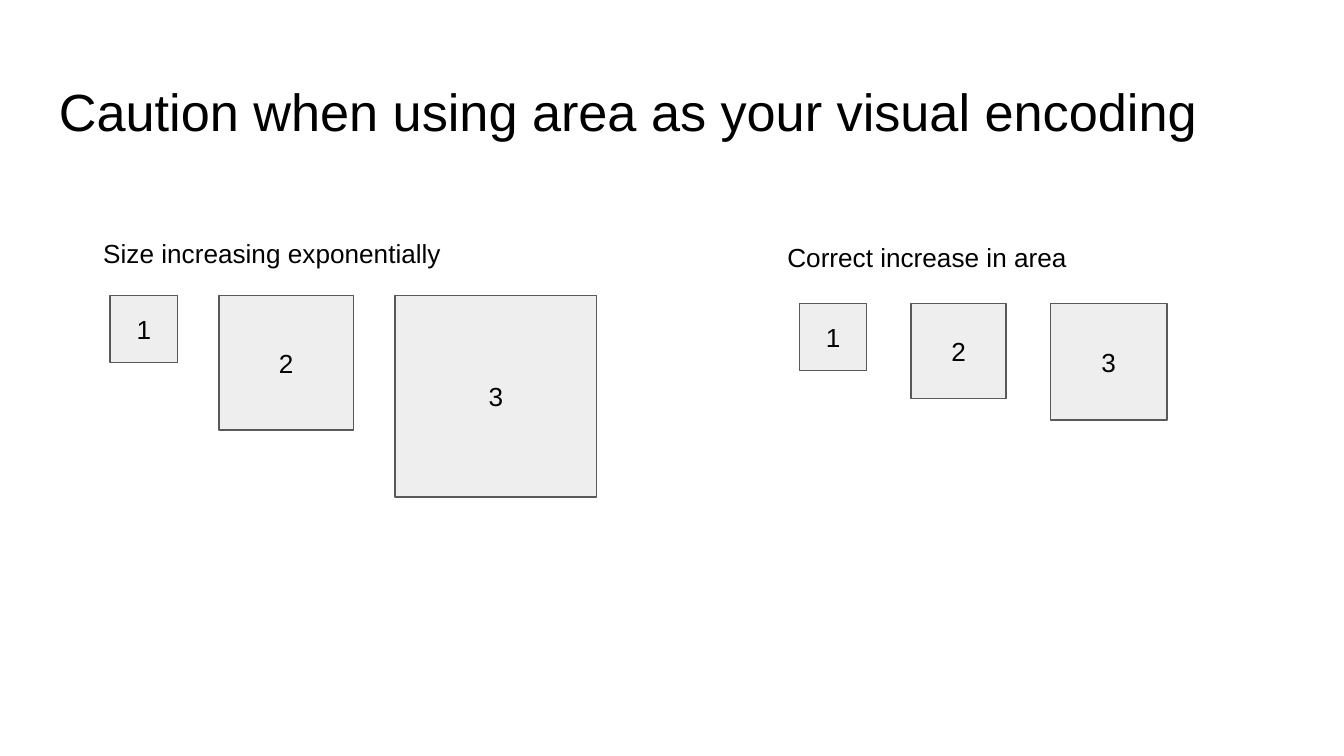
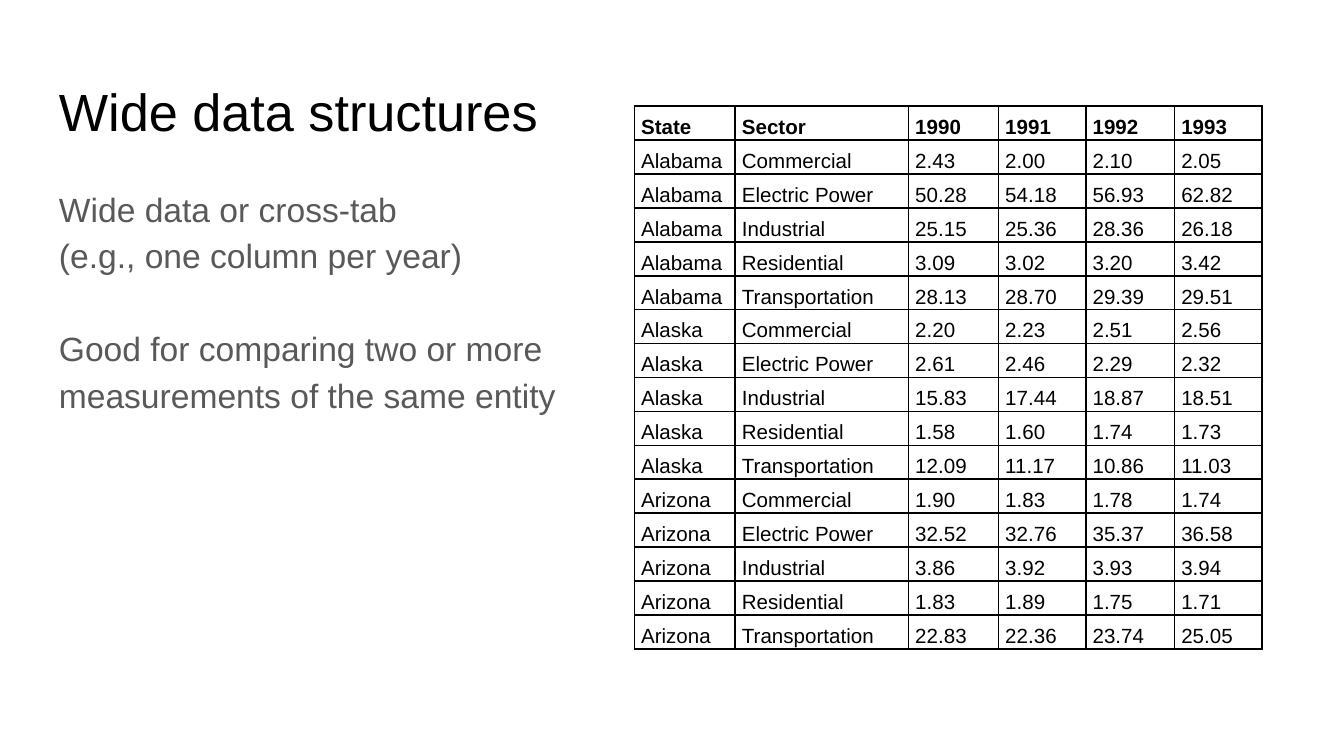
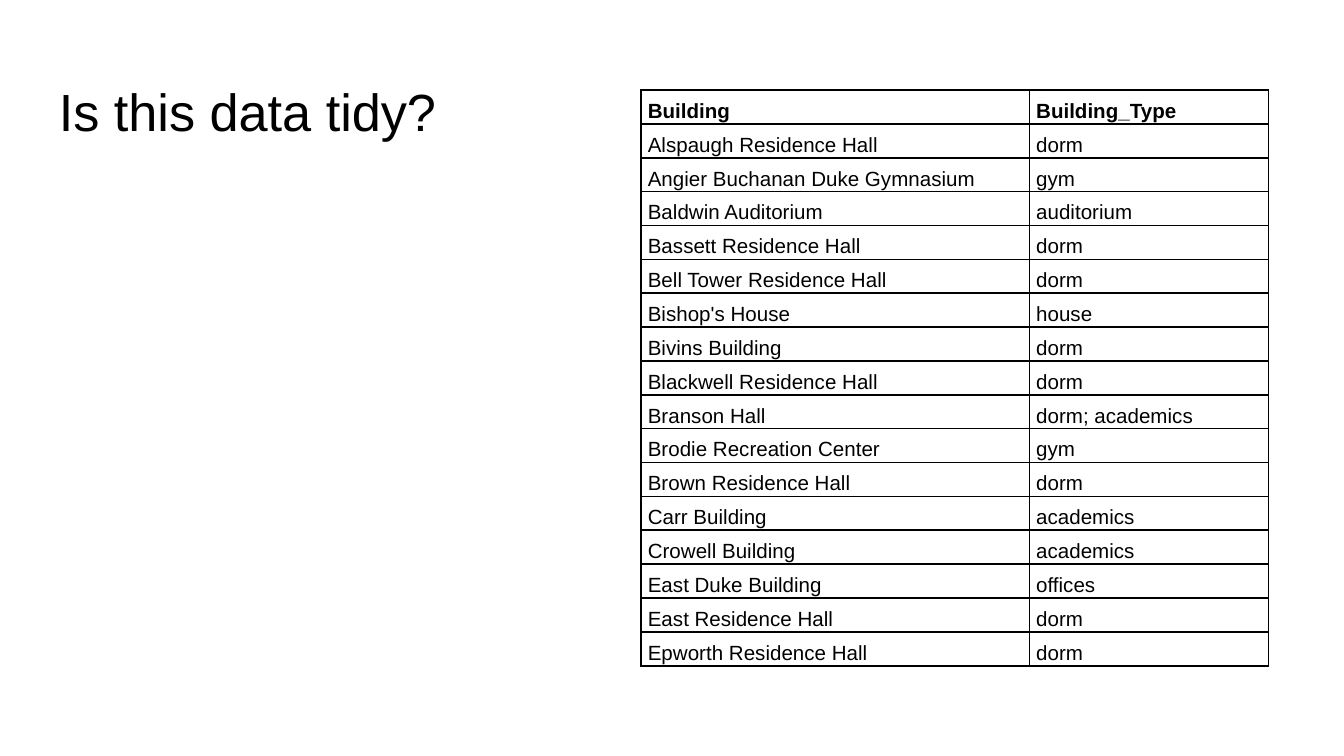
import dataclasses
import itertools
import math
import typing

import lxml.etree
import pptx
import pptx.dml.color
import pptx.enum.shapes
import pptx.enum.text
import pptx.oxml.ns
import pptx.slide
import pptx.text.text
import pptx.util

Inches = pptx.util.Inches
Anchor = pptx.enum.text.MSO_ANCHOR

FONT = "Arial"
BLACK = "000000"
GRAY = "595959"
PALE = "EEEEEE"

STATES = ["Alabama", "Alaska", "Arizona"]
SECTORS = ["Commercial", "Electric Power", "Industrial", "Residential", "Transportation"]
YEARS = ["1990", "1991", "1992", "1993"]
ENERGY = [
    "2.43 2.00 2.10 2.05",
    "50.28 54.18 56.93 62.82",
    "25.15 25.36 28.36 26.18",
    "3.09 3.02 3.20 3.42",
    "28.13 28.70 29.39 29.51",
    "2.20 2.23 2.51 2.56",
    "2.61 2.46 2.29 2.32",
    "15.83 17.44 18.87 18.51",
    "1.58 1.60 1.74 1.73",
    "12.09 11.17 10.86 11.03",
    "1.90 1.83 1.78 1.74",
    "32.52 32.76 35.37 36.58",
    "3.86 3.92 3.93 3.94",
    "1.83 1.89 1.75 1.71",
    "22.83 22.36 23.74 25.05",
]
BUILDINGS = [
    ["Alspaugh Residence Hall", "dorm"],
    ["Angier Buchanan Duke Gymnasium", "gym"],
    ["Baldwin Auditorium", "auditorium"],
    ["Bassett Residence Hall", "dorm"],
    ["Bell Tower Residence Hall", "dorm"],
    ["Bishop's House", "house"],
    ["Bivins Building", "dorm"],
    ["Blackwell Residence Hall", "dorm"],
    ["Branson Hall", "dorm; academics"],
    ["Brodie Recreation Center", "gym"],
    ["Brown Residence Hall", "dorm"],
    ["Carr Building", "academics"],
    ["Crowell Building", "academics"],
    ["East Duke Building", "offices"],
    ["East Residence Hall", "dorm"],
    ["Epworth Residence Hall", "dorm"],
]


@dataclasses.dataclass
class Area:
    left: float
    top: float
    width: float
    height: float

    def lengths(self) -> list[int]:
        return [Inches(value) for value in dataclasses.astuple(self)]


@dataclasses.dataclass
class SquareRow:
    caption: str
    caption_area: Area
    left: float
    top: float
    gap: float
    sides: list[float]


@dataclasses.dataclass
class DataTable:
    left: float
    top: float
    height: float
    widths: list[float]
    rows: list[list[str]]


TITLE_AREA = Area(0.34, 0.49, 9.32, 0.63)
BODY_AREA = Area(0.34, 1.26, 4.55, 3.74)
SQUARE_ROWS = [
    SquareRow("Size increasing exponentially", Area(0.67, 1.67, 3.56, 0.44),
              0.82, 2.2, 0.31, [0.5 * number for number in (1, 2, 3)]),
    SquareRow("Correct increase in area", Area(5.76, 1.7, 3.56, 0.44),
              5.95, 2.26, 0.33, [0.5 * math.sqrt(number) for number in (1, 2, 3)]),
]
ENERGY_TABLE = DataTable(
    4.72, 0.79, 4.04, [0.75, 1.29, 0.67, 0.65, 0.66, 0.65],
    [["State", "Sector", *YEARS]]
    + [[*names, *values.split()]
       for names, values in zip(itertools.product(STATES, SECTORS), ENERGY)],
)
BUILDING_TABLE = DataTable(
    4.77, 0.67, 4.29, [2.89, 1.78], [["Building", "Building_Type"], *BUILDINGS]
)


def color(value: str) -> pptx.dml.color.RGBColor:
    return pptx.dml.color.RGBColor.from_string(value)


def style_font(para: typing.Any, size: float, ink: str = BLACK, bold: bool = False) -> None:
    para.font.name = FONT
    para.font.size = pptx.util.Pt(size)
    para.font.bold = bold
    para.font.color.rgb = color(ink)


def set_margins(holder: typing.Any, left: float, others: float) -> None:
    holder.margin_left = Inches(left)
    holder.margin_right = holder.margin_top = holder.margin_bottom = Inches(others)


def add_text(page: pptx.slide.Slide, area: Area, text: str, size: float,
             ink: str = BLACK) -> pptx.text.text.TextFrame:
    frame = page.shapes.add_textbox(*area.lengths()).text_frame
    frame.word_wrap = True
    set_margins(frame, 0.1, 0.1)
    frame.text = text
    for para in frame.paragraphs:
        style_font(para, size, ink)
    return frame


def add_page(deck: typing.Any, title: str) -> pptx.slide.Slide:
    page = deck.slides.add_slide(deck.slide_layouts[6])
    add_text(page, TITLE_AREA, title, 28)
    return page


def add_square(page: pptx.slide.Slide, left: float, top: float, side: float, label: str) -> None:
    square = page.shapes.add_shape(
        pptx.enum.shapes.MSO_SHAPE.RECTANGLE, *Area(left, top, side, side).lengths()
    )
    square.shadow.inherit = False
    square.fill.solid()
    square.fill.fore_color.rgb = color(PALE)
    square.line.color.rgb = color(GRAY)
    square.line.width = pptx.util.Pt(0.75)
    frame = square.text_frame
    set_margins(frame, 0.1, 0.1)
    frame.vertical_anchor = Anchor.MIDDLE
    frame.text = label
    para = frame.paragraphs[0]
    para.alignment = pptx.enum.text.PP_ALIGN.CENTER
    style_font(para, 14)


def add_square_row(page: pptx.slide.Slide, row: SquareRow) -> None:
    caption = add_text(page, row.caption_area, row.caption, 14)
    caption.auto_size = pptx.enum.text.MSO_AUTO_SIZE.SHAPE_TO_FIT_TEXT
    left = row.left
    for number, side in enumerate(row.sides, 1):
        add_square(page, left, row.top, side, str(number))
        left += side + row.gap


def add_borders(cell: typing.Any) -> None:
    qn = pptx.oxml.ns.qn
    properties = cell._tc.get_or_add_tcPr()
    for index, edge in enumerate(("a:lnL", "a:lnR", "a:lnT", "a:lnB")):
        border = lxml.etree.Element(qn(edge), w=str(pptx.util.Pt(1)))
        fill = lxml.etree.SubElement(border, qn("a:solidFill"))
        lxml.etree.SubElement(fill, qn("a:srgbClr"), val=BLACK)
        properties.insert(index, border)


def add_data_table(page: pptx.slide.Slide, data: DataTable) -> None:
    area = Area(data.left, data.top, sum(data.widths), data.height)
    table = page.shapes.add_table(
        len(data.rows), len(data.widths), *area.lengths()
    ).table
    table.first_row = table.horz_banding = False
    for column, width in zip(table.columns, data.widths):
        column.width = Inches(width)
    for row_index, values in enumerate(data.rows):
        for column_index, value in enumerate(values):
            cell = table.cell(row_index, column_index)
            cell.text = value
            cell.vertical_anchor = Anchor.BOTTOM
            set_margins(cell, 0.05, 0.01)
            cell.fill.background()
            add_borders(cell)
            style_font(cell.text_frame.paragraphs[0], 11, bold=row_index == 0)


def main() -> None:
    deck = pptx.Presentation()
    deck.slide_width = Inches(10)
    deck.slide_height = Inches(10 * 9 / 16)

    page = add_page(deck, "Caution when using area as your visual encoding")
    for row in SQUARE_ROWS:
        add_square_row(page, row)

    page = add_page(deck, "Wide data structures")
    body = add_text(
        page, BODY_AREA,
        "Wide data or cross-tab\v(e.g., one column per year)\n"
        "Good for comparing two or more measurements of the same entity",
        18, GRAY,
    )
    for para in body.paragraphs:
        para.line_spacing = 1.15
    body.paragraphs[0].space_after = pptx.util.Pt(25)
    body.paragraphs[1].space_after = pptx.util.Pt(16)
    add_data_table(page, ENERGY_TABLE)

    page = add_page(deck, "Is this data tidy?")
    add_data_table(page, BUILDING_TABLE)

    deck.save("out.pptx")


if __name__ == "__main__":
    main()
